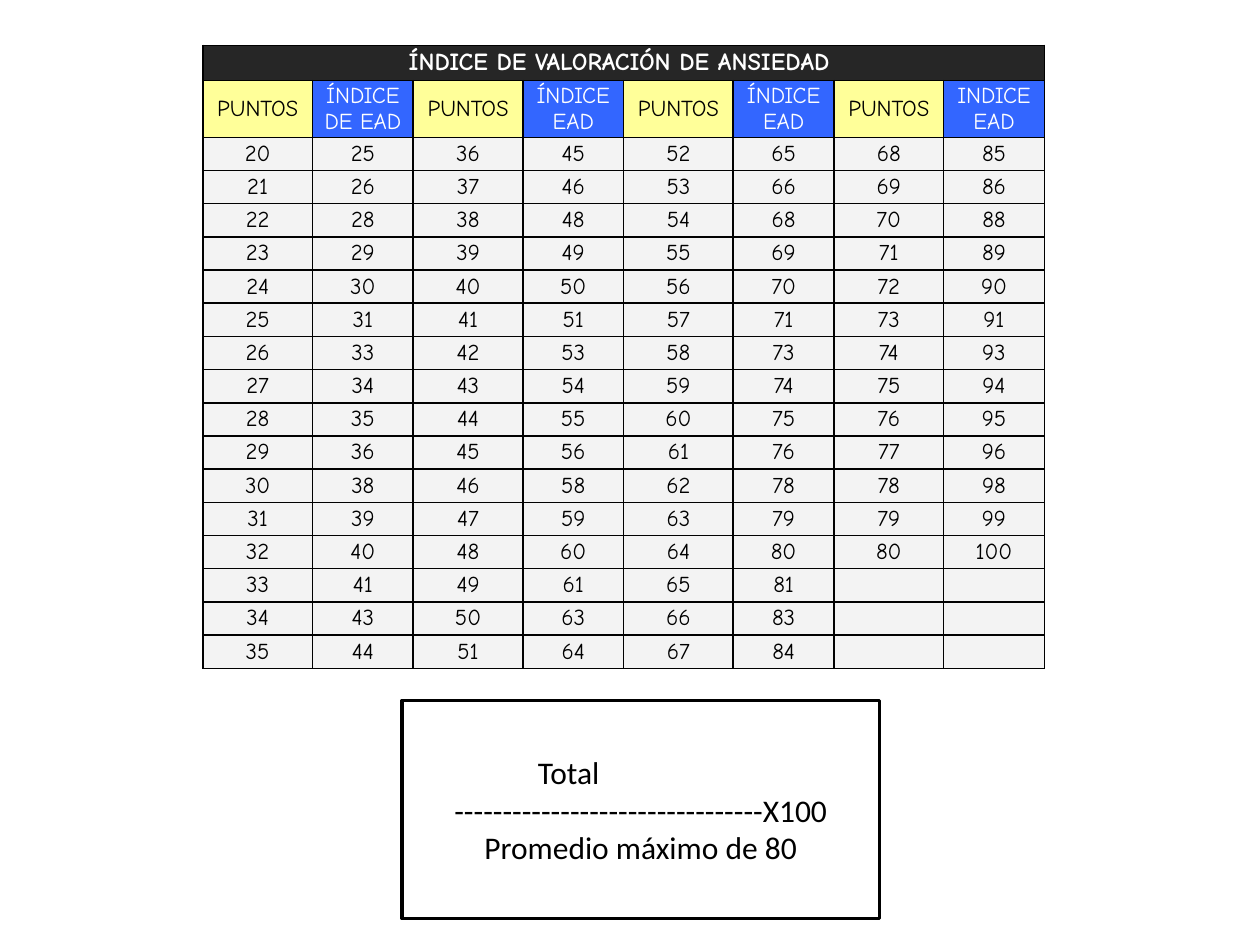
from lxml import etree
from pptx import Presentation
from pptx.dml.color import RGBColor
from pptx.enum.shapes import MSO_SHAPE
from pptx.enum.text import MSO_ANCHOR, PP_ALIGN
from pptx.oxml.ns import qn
from pptx.util import Inches, Pt

RECT = MSO_SHAPE.RECTANGLE
MIDDLE = MSO_ANCHOR.MIDDLE
LEFT, CENTER = PP_ALIGN.LEFT, PP_ALIGN.CENTER

COLORS = {
    "black": "000000",
    "white": "FFFFFF",
    "title": "262626",
    "points": "FFFF99",
    "index": "3366FF",
    "body": "F3F3F3",
}
TABLE_FONT, FORMULA_FONT = "Comic Neue", "Calibri"
HEADERS = ["PUNTOS", "ÍNDICE DE EAD", "PUNTOS", "ÍNDICE EAD",
           "PUNTOS", "ÍNDICE EAD", "PUNTOS", "INDICE EAD"]
FIRST_POINTS, MAX_POINTS, BODY_ROWS = 20, 80, 16
TITLE_HEIGHT, HEADER_HEIGHT = 0.28, 0.45
COLUMN_WIDTHS = [0.87, 0.8] * 4


def rgb(name):
    return RGBColor.from_string(COLORS[name])


def add_text(p, text, font=TABLE_FONT, size=13, color="black", bold=False, align=CENTER):
    p.alignment = align
    if not text:
        etree.SubElement(p._p, qn("a:endParaRPr"), sz=str(size * 100))
        return
    r = p.add_run()
    r.text = text
    r.font.name = font
    r.font.size = Pt(size)
    r.font.bold = bold
    r.font.color.rgb = rgb(color)


def set_borders(cell):
    tc_pr = cell._tc.get_or_add_tcPr()
    for position, side in enumerate(("lnL", "lnR", "lnT", "lnB")):
        ln = etree.Element(qn(f"a:{side}"), w=str(Pt(1)))
        fill = etree.SubElement(ln, qn("a:solidFill"))
        etree.SubElement(fill, qn("a:srgbClr"), val=COLORS["black"])
        tc_pr.insert(position, ln)


def format_cell(cell, text, fill, **text_format):
    cell.fill.solid()
    cell.fill.fore_color.rgb = rgb(fill)
    cell.vertical_anchor = MIDDLE
    cell.margin_left = cell.margin_right = Inches(0.05)
    cell.margin_top = cell.margin_bottom = 0
    set_borders(cell)
    add_text(cell.text_frame.paragraphs[0], text, **text_format)


def score_text(row, col):
    points = FIRST_POINTS + BODY_ROWS * (col // 2) + row
    if points > MAX_POINTS:
        return ""
    index = (points * 100 + MAX_POINTS // 2) // MAX_POINTS
    return str(index if col % 2 else points)


def add_score_table(s, left, top, width, height):
    table = s.shapes.add_table(BODY_ROWS + 2, len(HEADERS), Inches(left), Inches(top),
                               Inches(width), Inches(height)).table
    body_height = (height - TITLE_HEIGHT - HEADER_HEIGHT) / BODY_ROWS
    for column, column_width in zip(table.columns, COLUMN_WIDTHS):
        column.width = Inches(column_width)
    for row, row_height in zip(table.rows,
                               [TITLE_HEIGHT, HEADER_HEIGHT] + [body_height] * BODY_ROWS):
        row.height = Inches(row_height)

    title = table.cell(0, 0)
    title.merge(table.cell(0, len(HEADERS) - 1))
    format_cell(title, "ÍNDICE DE VALORACIÓN DE ANSIEDAD ", "title",
                size=14, color="white", bold=True)
    for col, header in enumerate(HEADERS):
        if col:
            set_borders(table.cell(0, col))
        fill, color = ("index", "white") if col % 2 else ("points", "black")
        format_cell(table.cell(1, col), header, fill, color=color)
        for row in range(BODY_ROWS):
            format_cell(table.cell(row + 2, col), score_text(row, col), "body")


def add_formula_box(s, left, top, width, height):
    sp = s.shapes.add_shape(RECT, Inches(left), Inches(top), Inches(width), Inches(height))
    sp.shadow.inherit = False
    sp.fill.solid()
    sp.fill.fore_color.rgb = rgb("white")
    sp.line.color.rgb = rgb("black")
    sp.line.width = Pt(2)
    tf = sp.text_frame
    tf.word_wrap = True
    tf.vertical_anchor = MIDDLE
    lines = [("Total", LEFT), ("-" * 32 + "X100", CENTER), ("Promedio máximo de 80", CENTER)]
    for i, (text, align) in enumerate(lines):
        p = tf.add_paragraph() if i else tf.paragraphs[0]
        add_text(p, text, font=FORMULA_FONT, size=18, align=align)
    numerator = tf.paragraphs[0]._p.get_or_add_pPr()
    numerator.set("marL", str(Inches(0.98)))
    numerator.set("indent", "0")


def main():
    prs = Presentation()
    prs.slide_width, prs.slide_height = Inches(10), Inches(7.5)
    s = prs.slides.add_slide(prs.slide_layouts[6])
    add_formula_box(s, 3.19, 5.56, 3.79, 1.73)
    add_score_table(s, 1.61, 0.36, 6.7, 4.95)
    prs.save("out.pptx")


if __name__ == "__main__":
    main()
